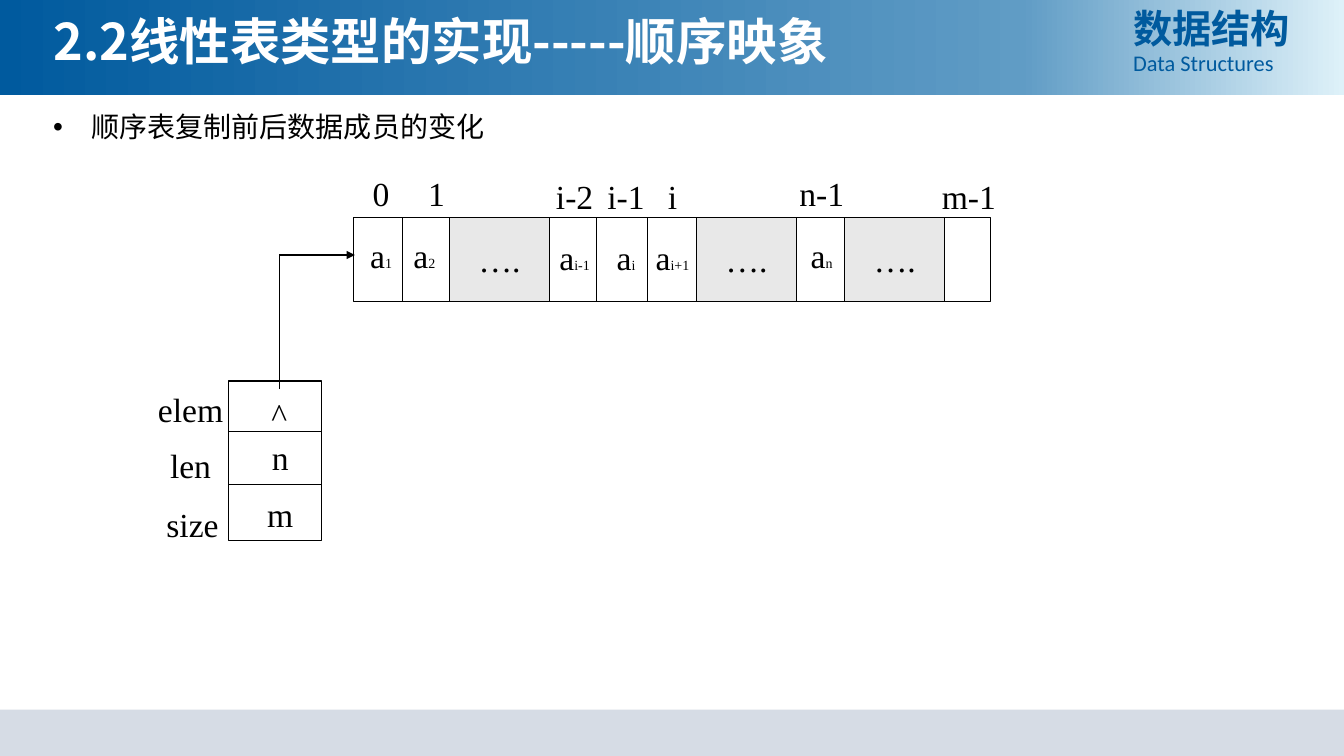
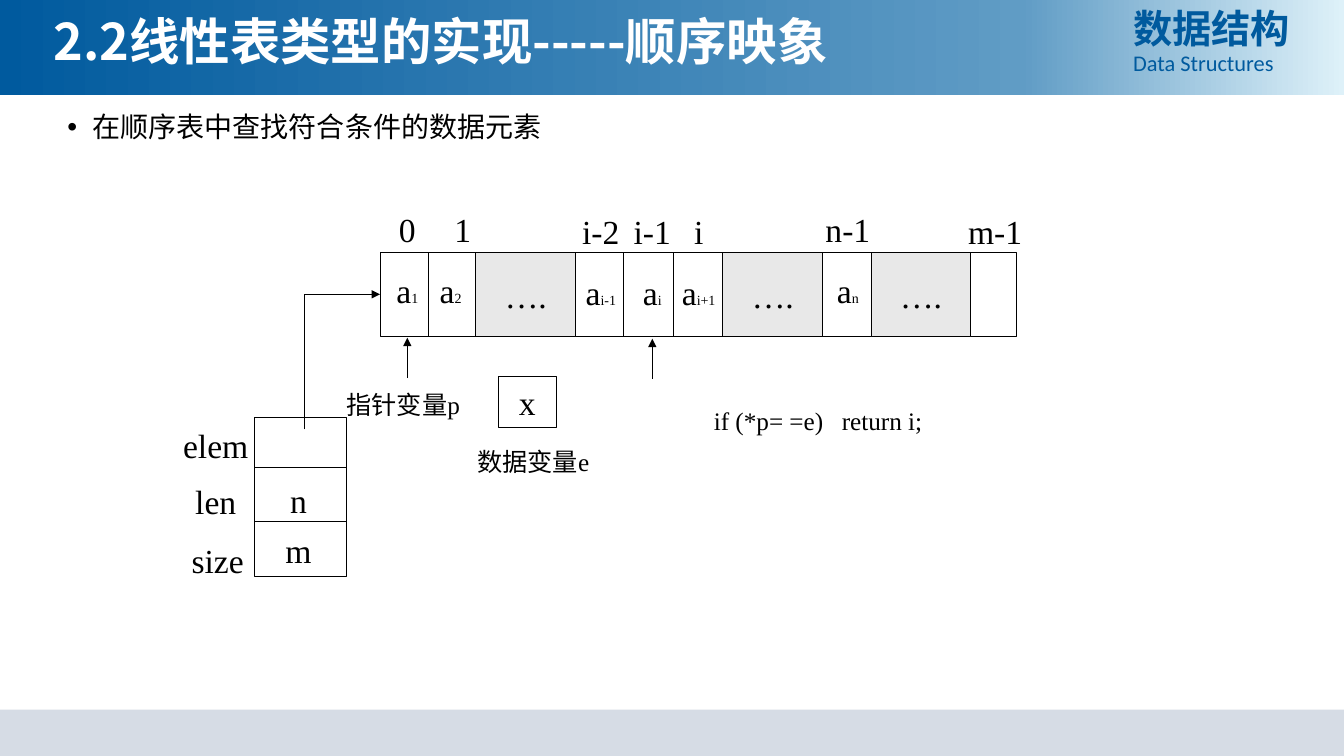
from copy import deepcopy

from pptx import Presentation
from pptx.dml.color import RGBColor
from pptx.enum.shapes import MSO_CONNECTOR, MSO_SHAPE
from pptx.enum.text import MSO_ANCHOR, MSO_AUTO_SIZE, PP_ALIGN
from pptx.oxml.ns import qn
from pptx.oxml.xmlchemy import OxmlElement
from pptx.util import Inches, Pt

RECT, STRAIGHT = MSO_SHAPE.RECTANGLE, MSO_CONNECTOR.STRAIGHT
TOP, MIDDLE = MSO_ANCHOR.TOP, MSO_ANCHOR.MIDDLE
LEFT, CENTER = PP_ALIGN.LEFT, PP_ALIGN.CENTER
NO_AUTOFIT = MSO_AUTO_SIZE.NONE

BLACK, WHITE, BLUE = "000000", "FFFFFF", "005A9E"
GREY, FOOTER = "E8E8E8", "D6DCE5"
HEADER_STOPS = [(0, BLUE), (0.76, "609CC5"), (1, "DEF1F9")]
CJK, SERIF, SANS = "Noto Sans CJK SC", "Times New Roman", "Calibri"

# index, its centre, subscript of the element, its centre, drop of both
CELLS = [
    ("0", 0.27, "1", 0.27, 0),
    ("1", 0.82, "2", 0.7, 0),
    ("i-2", 2.19, "i-1", 2.19, 0.02),
    ("i-1", 2.7, "i", 2.7, 0.02),
    ("i", 3.16, "i+1", 3.16, 0.02),
    ("n-1", 4.64, "n", 4.64, 0),
    ("m-1", 6.1, None, 0, 0.02),
]
DIVIDERS = [0.48, 2.41, 2.91]
GAPS = [0.95, 3.4, 4.87]
FIELDS = [("elem", -0.38, 0.28), ("len", -0.38, 0.83), ("size", -0.36, 1.42)]


def rgb(color):
    return RGBColor.from_string(color)


class Deck:
    def __init__(self):
        self.prs = Presentation()
        self.prs.slide_width = Inches(13.33)
        self.prs.slide_height = Inches(7.5)
        self.s = None

    def start(self, title):
        """Add a slide with its bands, title and course name."""
        self.s = self.prs.slides.add_slide(self.prs.slide_layouts[5])
        self.fade(self.box(0, 0, 13.33, 0.94, fill=BLUE), HEADER_STOPS)
        self.box(0, 7.04, 13.33, 0.46, fill=FOOTER)
        sp = self.s.shapes.title
        self.s.shapes._spTree.append(sp._element)
        sp.left, sp.top = Inches(0.43), Inches(0.12)
        sp.width, sp.height = Inches(8.63), Inches(0.71)
        p = self.frame(sp, TOP).paragraphs[0]
        self.tight(p)
        self.run(p, title, 36, CJK, WHITE, True)

        tf = self.frame(self.textbox(11.14, 0.05, 1.91, 0.84), TOP)
        p = tf.paragraphs[0]
        self.tight(p)
        self.run(p, "数据结构", 28, CJK, BLUE, True)
        p = tf.add_paragraph()
        self.tight(p)
        self.run(p, "Data Structures", 16, SANS, BLUE)

    def frame(self, sp, anchor, wrap=True):
        tf = sp.text_frame
        tf.auto_size = NO_AUTOFIT
        tf.word_wrap = wrap
        tf.vertical_anchor = anchor
        return tf

    def tight(self, p):
        p.alignment = LEFT
        p.line_spacing = 0.9

    def run(self, p, text, size=24, font=SERIF, color=BLACK, bold=False):
        r = p.add_run()
        r.text = text
        r.font.size, r.font.bold, r.font.name = Pt(size), bold, font
        r.font.color.rgb = rgb(color)
        ea = OxmlElement("a:ea")
        ea.set("typeface", font)
        r.font._element.find(qn("a:latin")).addnext(ea)

    def textbox(self, x, y, w, h):
        return self.s.shapes.add_textbox(Inches(x), Inches(y), Inches(w), Inches(h))

    def box(self, x, y, w, h, fill=None, line=None, text=None):
        sp = self.s.shapes.add_shape(RECT, Inches(x), Inches(y), Inches(w), Inches(h))
        sp.shadow.inherit = False
        if fill:
            sp.fill.solid()
            sp.fill.fore_color.rgb = rgb(fill)
        else:
            sp.fill.background()
        if line:
            sp.line.color.rgb = rgb(line)
            sp.line.width = Pt(0.75)
        else:
            sp.line.fill.background()
        if text:
            p = self.frame(sp, MIDDLE, wrap=False).paragraphs[0]
            p.alignment = CENTER
            self.run(p, text)
        return sp

    def fade(self, sp, stops):
        """Fill a shape with a left-to-right gradient."""
        sp.fill.gradient()
        sp.fill.gradient_angle = 0
        gs_list = sp._element.spPr.find(".//" + qn("a:gsLst"))
        while len(gs_list) < len(stops):
            gs_list.append(deepcopy(gs_list[0]))
        for stop, (position, color) in zip(sp.fill.gradient_stops, stops):
            stop.position = position
            stop.color.rgb = rgb(color)

    def line(self, x1, y1, x2, y2, arrow=False):
        cn = self.s.shapes.add_connector(
            STRAIGHT, Inches(x1), Inches(y1), Inches(x2), Inches(y2))
        cn.line.color.rgb = rgb(BLACK)
        cn.line.width = Pt(0.75)
        if arrow:
            tail = OxmlElement("a:tailEnd")
            tail.set("type", "triangle")
            cn.line._get_or_add_ln().append(tail)
        cn._element.spPr.append(OxmlElement("a:effectLst"))

    def label(self, x, y, *runs):
        """Centre runs, each a tuple of run arguments, on the point x, y."""
        w, h = 0.5, 0.42
        sp = self.textbox(x - w / 2, y - h / 2, w, h)
        p = self.frame(sp, MIDDLE, wrap=False).paragraphs[0]
        p.alignment = CENTER
        for r in runs:
            self.run(p, *r)

    def bullet(self, x, y, text, indent):
        sp = self.textbox(x, y, 9, 0.5)
        p = self.frame(sp, TOP).paragraphs[0]
        self.tight(p)
        pPr = p._p.get_or_add_pPr()
        pPr.set("marL", str(Inches(indent)))
        pPr.set("indent", str(-Inches(indent)))
        font = OxmlElement("a:buFont")
        font.set("typeface", "Arial")
        char = OxmlElement("a:buChar")
        char.set("char", "•")
        pPr.extend([font, char])
        self.run(p, text, 20, CJK)

    def code(self, x, y, text, tab):
        """Write code whose tab character jumps to the given distance."""
        sp = self.textbox(x, y, 2.3, 0.5)
        tf = self.frame(sp, MIDDLE)
        tf.margin_left = tf.margin_right = 0
        p = tf.paragraphs[0]
        p.alignment = LEFT
        tabs, stop = OxmlElement("a:tabLst"), OxmlElement("a:tab")
        stop.set("pos", str(Inches(tab)))
        stop.set("algn", "l")
        tabs.append(stop)
        p._p.get_or_add_pPr().append(tabs)
        self.run(p, text, 18)

    def array(self, x, y):
        h = 0.83
        for index, index_x, sub, value_x, drop in CELLS:
            self.label(x + index_x, y - 0.24 + drop, (index,))
            if sub:
                self.label(x + value_x, y + 0.37 + drop, ("a",), (sub, 10))
        self.box(x, y, 6.31, h, line=BLACK)
        for dx in DIVIDERS:
            self.line(x + dx, y, x + dx, y + h)
        for dx in GAPS:
            self.box(x + dx, y, 0.99, h, GREY, BLACK, "….")

    def record(self, x, y, values):
        """Draw the elem, len and size fields; values are (text, dx, dy)."""
        w = 0.92
        self.box(x, y, w, 1.58, line=BLACK)
        for dy in (0.5, 1.03):
            self.line(x, y + dy, x + w, y + dy)
        for text, dx, dy in FIELDS + values:
            self.label(x + dx, y + dy, (text,))

    def link(self, x, bottom, right, y):
        """Draw the bent arrow from the elem field to the array."""
        self.line(x, bottom, x, y)
        self.line(x, y, right, y, arrow=True)


def main():
    deck = Deck()
    title = "2.2线性表类型的实现-----顺序映象"

    deck.start(title)
    deck.bullet(0.43, 1.08, "顺序表复制前后数据成员的变化", 0.38)
    deck.array(3.51, 2.16)
    deck.link(2.77, 3.86, 3.52, 2.53)
    deck.record(2.27, 3.78, [("^", 0.5, 0.33), ("n", 0.51, 0.75), ("m", 0.51, 1.32)])

    deck.start(title)
    deck.bullet(0.57, 1.08, "在顺序表中查找符合条件的数据元素", 0.25)
    deck.array(3.77, 2.51)
    deck.link(3.02, 4.26, 3.77, 2.92)
    deck.record(2.52, 4.14, [("n", 0.44, 0.82), ("m", 0.44, 1.32)])
    for x, y in ((4.04, 3.35), (6.47, 3.36)):
        deck.line(x, y + 0.4, x, y, arrow=True)
    deck.label(4, 4.01, ("指针变量", 18, CJK), ("p", 18))
    deck.box(4.94, 3.74, 0.58, 0.5, line=BLACK, text="x")
    deck.label(5.29, 4.58, ("数据变量", 18, CJK), ("e", 18))
    deck.code(7.08, 3.92, "if (*p= =e)\treturn i;", 1.27)

    deck.prs.save("out.pptx")


if __name__ == "__main__":
    main()
